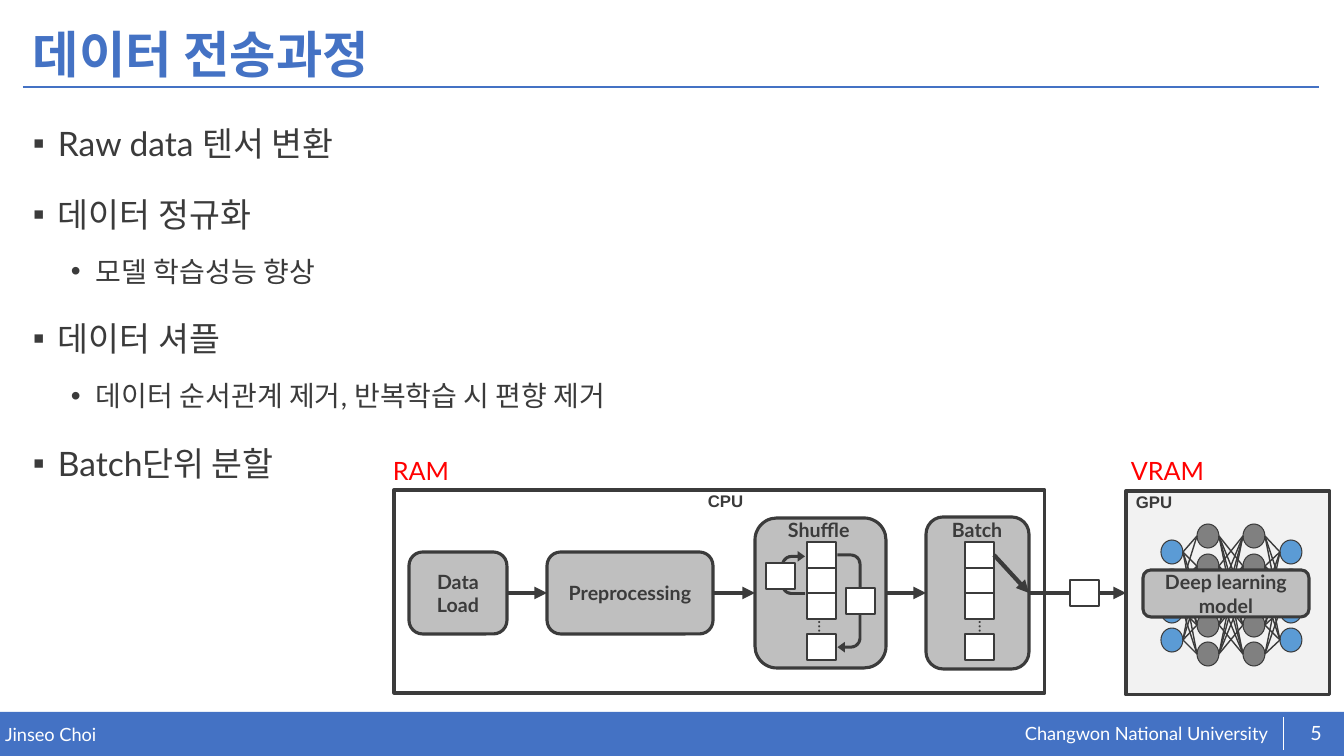
from itertools import product

from lxml.etree import SubElement
from pptx import Presentation
from pptx.dml.color import RGBColor
from pptx.enum.shapes import MSO_CONNECTOR, MSO_SHAPE
from pptx.enum.text import MSO_ANCHOR, PP_ALIGN
from pptx.oxml.ns import qn
from pptx.util import Pt

SCALE = 12700 * 72 / 100.8  # EMU in one px
COLORS = {"blue": "4472C4", "white": "FFFFFF", "ink": "3B3B3B", "red": "FF0000",
          "box": "BFBFBF", "panel": "F2F2F2", "node": "5B9BD5", "hidden": "808080"}

TITLE = "데이터 전송과정"
BULLETS = [
    (0, "Raw data 텐서 변환"),
    (0, "데이터 정규화"),
    (1, "모델 학습성능 향상"),
    (0, "데이터 셔플"),
    (1, "데이터 순서관계 제거, 반복학습 시 편향 제거"),
    (0, "Batch단위 분할"),
]
# level: (bullet, left margin px, size pt, space before pt)
LEVELS = {0: ("▪", 25, 24, 10), 1: ("•", 63, 20, 5)}

# text, place, format
LABELS = [
    ("CPU", (698, 486, 138, 30), dict(size=12, font="Arial", bold=True)),
    ("GPU", (1126, 487, 138, 30), dict(size=12, font="Arial", bold=True)),
    ("Shuffle", (778, 513, 164, 34), dict(size=14, bold=True)),
    ("Batch", (942, 513, 164, 34), dict(size=14, bold=True)),
    ("RAM", (383, 450, 88, 40), dict(size=18, color="red")),
    ("VRAM", (1121, 450, 110, 40), dict(size=18, color="red")),
]
FOOTER = [
    ("Jinseo Choi", (5, 723, 660, 22), dict(size=13)),
    ("Changwon National University", (1025, 722, 269, 23), dict(size=13)),
    ("5", (1292, 713, 48, 40), dict(size=14, align=PP_ALIGN.CENTER, anchor=MSO_ANCHOR.MIDDLE)),
]
STAGES = {
    "load": (["Data", "Load"], (409, 552, 98, 82)),
    "preprocessing": (["Preprocessing"], (547, 552, 166, 82)),
    "shuffle": ([], (755, 518, 131, 150)),
    "batch": ([], (926, 517, 103, 152)),
}
CELL_SIZE = (29, 26)
CELL_TOPS = [542, 568, 593, 634]
STACK_LEFTS = {"shuffle": 807, "batch": 965}
MOVING_CELLS = [(846, 588), (766, 563), (1070, 580)]
U_TURNS = [((800, 591, 99, 24), 90), ((771, 561, 44, 24), 270)]
DOTS = [(807, 614, 36, 30), (969, 612, 33, 30)]

NODE_SIZE = (22, 24)
LAYER_X = [1172, 1208, 1254, 1291]
OUTER_Y = [552, 581, 611, 640]
INNER_Y = [536, 566, 595, 625, 654]
COVERED_ROW = 2  # inner row behind the model box
# For each outer node, the inner rows it is linked to
INPUT_LINKS = [(0, 1, 2, 3), (0, 1, 3, 4), (1, 3, 4), (1, 2, 3, 4)]
OUTPUT_LINKS = [(0, 1, 2, 3), (0, 1, 3, 4), (0, 1, 3, 4), (1, 2, 3, 4)]

deck = Presentation()
deck.slide_width, deck.slide_height = round(1344 * SCALE), round(756 * SCALE)
page = deck.slides.add_slide(deck.slide_layouts[6])


def emu(*lengths):
    return [round(length * SCALE) for length in lengths]


def rgb(name):
    return RGBColor.from_string(COLORS[name])


def write(frame, lines, size=14, color="ink", font="Lato", bold=False,
          align=PP_ALIGN.LEFT, anchor=MSO_ANCHOR.TOP, inset=None, spacing=None):
    frame.word_wrap = True
    frame.vertical_anchor = anchor
    if inset is not None:
        frame.margin_left = frame.margin_right = frame.margin_top = frame.margin_bottom = inset
    for index, line in enumerate(lines):
        para = frame.paragraphs[0] if index == 0 else frame.add_paragraph()
        para.alignment = align
        para.line_spacing = spacing
        span = para.add_run()
        span.text = line
        span.font.size, span.font.bold, span.font.name = Pt(size), bold, font
        span.font.color.rgb = rgb(color)


def add_text(text, place, rotation=0, **style):
    box = page.shapes.add_textbox(*emu(*place))
    box.rotation = rotation
    write(box.text_frame, [text], **style)
    return box


def add_box(kind, place, fill=None, line="ink", width=2.25):
    box = page.shapes.add_shape(kind, *emu(*place))
    box.shadow.inherit = False
    if fill:
        box.fill.solid()
        box.fill.fore_color.rgb = rgb(fill)
    else:
        box.fill.background()
    if line:
        box.line.color.rgb = rgb(line)
        box.line.width = Pt(width)
    else:
        box.line.fill.background()
    return box


def add_line(start=(0, 0), end=(0, 0), color="ink", width=1.0):
    line = page.shapes.add_connector(MSO_CONNECTOR.STRAIGHT, *emu(*start, *end))
    line.line.color.rgb = rgb(color)
    line.line.width = Pt(width)
    SubElement(line._element.spPr, qn("a:effectLst"))
    return line


def add_arrow(source, target, target_side=1):
    """Join the right side of one box to a side of another."""
    arrow = add_line(width=3)
    arrow.begin_connect(source, 3)
    arrow.end_connect(target, target_side)
    SubElement(arrow.line._get_or_add_ln(), qn("a:tailEnd"), type="triangle")


def add_bullets():
    frame = page.shapes.add_textbox(*emu(23, 102, 1296, 568)).text_frame
    write(frame, [text for _, text in BULLETS], spacing=1.4)
    for index, (para, (level, _)) in enumerate(zip(frame.paragraphs, BULLETS)):
        mark, margin, size, before = LEVELS[level]
        para.space_before = Pt(before if index else 0)
        properties = para._p.get_or_add_pPr()
        left, indent = emu(margin, -25)
        properties.set("marL", str(left))
        properties.set("indent", str(indent))
        SubElement(properties, qn("a:buFont"), typeface="Arial")
        SubElement(properties, qn("a:buChar"), char=mark)
        para.runs[0].font.size = Pt(size)


def add_cell(left, top):
    return add_box(MSO_SHAPE.RECTANGLE, (left, top, *CELL_SIZE), "white", width=1.5)


def add_network():
    width, height = NODE_SIZE
    layers = [OUTER_Y, INNER_Y, INNER_Y, OUTER_Y]
    for x, rows in zip(LAYER_X, layers):
        inner = rows is INNER_Y
        for row, y in enumerate(rows):
            if not (inner and row == COVERED_ROW):
                add_box(MSO_SHAPE.OVAL, (x - width // 2, y - height // 2, width, height),
                        "hidden" if inner else "node", width=0.75)
    links = [
        [(outer, inner) for outer, rows in enumerate(INPUT_LINKS) for inner in rows],
        [(a, b) for a, b in product(range(len(INNER_Y)), repeat=2) if a != b],
        [(inner, outer) for outer, rows in enumerate(OUTPUT_LINKS) for inner in rows],
    ]
    for layer, pairs in enumerate(links):
        for a, b in pairs:
            add_line((LAYER_X[layer] + width // 2, layers[layer][a]),
                     (LAYER_X[layer + 1] - width // 2, layers[layer + 1][b]))
    model = add_box(MSO_SHAPE.ROUNDED_RECTANGLE, (1143, 570, 166, 47), "box")
    write(model.text_frame, ["Deep learning", "model"], bold=True,
          align=PP_ALIGN.CENTER, anchor=MSO_ANCHOR.MIDDLE)


add_box(MSO_SHAPE.RECTANGLE, (0, 712, 1344, 44), "blue", line=None)
for text, place, style in FOOTER:
    add_text(text, place, color="white", inset=0, **style)
add_line((23, 87), (1319, 87), "blue", 2)
add_line((1283, 717), (1283, 750), "white", 0.5)
add_text(TITLE, (23, 18, 1296, 78), size=36, color="blue", bold=True,
         anchor=MSO_ANCHOR.MIDDLE, spacing=0.9)
add_bullets()

add_box(MSO_SHAPE.RECTANGLE, (394, 490, 651, 203))
gpu = add_box(MSO_SHAPE.RECTANGLE, (1126, 491, 204, 204), "panel")
stages = {}
for name, (lines, place) in STAGES.items():
    stages[name] = add_box(MSO_SHAPE.ROUNDED_RECTANGLE, place, "box")
    write(stages[name].text_frame, lines, bold=True,
          align=PP_ALIGN.CENTER, anchor=MSO_ANCHOR.MIDDLE)
flow = [*stages.values(), gpu]
for source, target in zip(flow, flow[1:]):
    add_arrow(source, target)
add_network()

for place, rotation in U_TURNS:
    turn = add_box(MSO_SHAPE.U_TURN_ARROW, place, "ink", line=None)
    turn.rotation = rotation
    for index, value in enumerate((0.123, 0.222, 0.307, 0.438, 1)):
        turn.adjustments[index] = round(value, 3)
for place in DOTS:
    add_text("…", place, rotation=90, size=12).text_frame.word_wrap = False
stacks = {name: [add_cell(left, top) for top in CELL_TOPS] for name, left in STACK_LEFTS.items()}
for left, top in MOVING_CELLS:
    add_cell(left, top)
add_arrow(stacks["batch"][0], stages["batch"], target_side=3)
for text, place, style in LABELS:
    add_text(text, place, **style)

deck.save("out.pptx")
